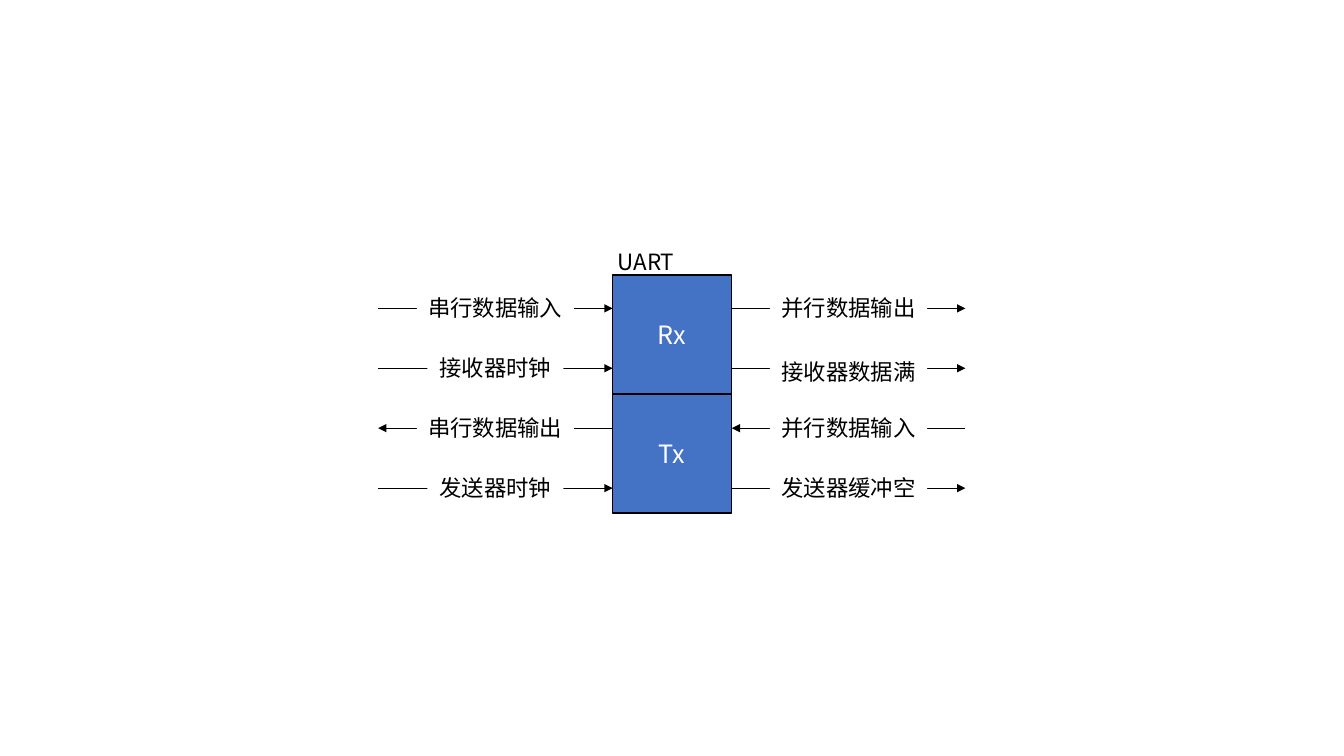
from lxml.etree import SubElement
from pptx import Presentation
from pptx.dml.color import RGBColor
from pptx.enum.shapes import MSO_CONNECTOR as Connector, MSO_SHAPE as Shape
from pptx.enum.text import MSO_ANCHOR as Anchor, MSO_AUTO_SIZE as AutoSize, PP_ALIGN as Align
from pptx.oxml.ns import qn
from pptx.util import Cm, Pt

COLORS = {"block": "4472C4", "ink": "000000", "paper": "FFFFFF"}
FONT = "Noto Sans CJK SC"

BLOCK_LEFT, BLOCK_TOP, BLOCK_SIZE = 15.44, 6.93, 3
BLOCK_RIGHT = BLOCK_LEFT + BLOCK_SIZE
LEFT_END, RIGHT_END = 9.53, 24.33
FIRST_ROW, ROW_STEP = 7.77, 1.51
LABEL_HEIGHT, LABEL_RISE = 0.94, 0.48

# Each signal: label, whether its arrow points right, extra drop of the label
INPUT_SIDE = [("串行数据输入", True, 0), ("接收器时钟", True, 0),
              ("串行数据输出", False, 0), ("发送器时钟", True, 0)]
OUTPUT_SIDE = [("并行数据输出", True, 0), ("接收器数据满", True, 0.1),
               ("并行数据输入", False, 0), ("发送器缓冲空", True, 0)]


def rgb(name):
    """Return the named palette colour."""
    return RGBColor.from_string(COLORS[name])


def write(frame, text, size=16, color="ink", align=Align.CENTER, anchor=Anchor.TOP, grow=True):
    """Put formatted text into a text frame."""
    frame.word_wrap = True
    frame.auto_size = AutoSize.SHAPE_TO_FIT_TEXT if grow else AutoSize.NONE
    frame.vertical_anchor = anchor
    paragraph = frame.paragraphs[0]
    paragraph.alignment = align
    run = paragraph.add_run()
    run.text = text
    run.font.size = Pt(size)
    run.font.name = FONT
    run.font.color.rgb = rgb(color)
    SubElement(run.font._element, qn("a:ea"), typeface=FONT)


class Diagram:
    """Draws the elements of the diagram as one group on a slide."""

    def __init__(self, slide):
        """Open the group that holds every element."""
        self.group = slide.shapes.add_group_shape().shapes

    def rectangle(self, left, top, width, height, fill):
        """Add a plain filled rectangle."""
        box = self.group.add_shape(Shape.RECTANGLE, Cm(left), Cm(top), Cm(width), Cm(height))
        box.shadow.inherit = False
        box.fill.solid()
        box.fill.fore_color.rgb = rgb(fill)
        box.line.fill.background()
        return box

    def block(self, name, top):
        """Add one outlined half of the UART."""
        half = self.rectangle(BLOCK_LEFT, top, BLOCK_SIZE, BLOCK_SIZE, "block")
        half.line.color.rgb = rgb("ink")
        half.line.width = Pt(1)
        write(half.text_frame, name, size=18, color="paper", anchor=Anchor.MIDDLE, grow=False)

    def arrow(self, start, end, y):
        """Add a horizontal arrow."""
        wire = self.group.add_connector(Connector.STRAIGHT, Cm(start), Cm(y), Cm(end), Cm(y))
        wire.line.color.rgb = rgb("ink")
        wire.line.width = Pt(0.5)
        properties = wire._element.spPr
        SubElement(properties.find(qn("a:ln")), qn("a:tailEnd"), type="triangle")
        SubElement(properties, qn("a:effectLst"))

    def label(self, text, center, top):
        """Add a signal name that masks the middle of its arrow."""
        width = 0.53 * len(text) + 0.78
        mask = self.rectangle(center - width / 2, top, width, LABEL_HEIGHT, "paper")
        write(mask.text_frame, text)

    def caption(self, text, left, top, width):
        """Add a transparent caption."""
        box = self.group.add_textbox(Cm(left), Cm(top), Cm(width), Cm(LABEL_HEIGHT))
        write(box.text_frame, text, align=Align.LEFT)

    def signals(self, side, left, right):
        """Add the labelled arrows of one side."""
        for row, (text, rightward, drop) in enumerate(side):
            y = FIRST_ROW + row * ROW_STEP
            start, end = (left, right) if rightward else (right, left)
            self.arrow(start, end, y)
            self.label(text, (left + right) / 2, y - LABEL_RISE + drop)


def main():
    """Build the UART slide and save it."""
    deck = Presentation()
    deck.slide_width, deck.slide_height = Cm(33.87), Cm(19.05)
    diagram = Diagram(deck.slides.add_slide(deck.slide_layouts[6]))
    for index, name in enumerate(["Rx", "Tx"]):
        diagram.block(name, BLOCK_TOP + index * BLOCK_SIZE)
    diagram.caption("UART", 15.32, 6.12, BLOCK_SIZE)
    diagram.signals(INPUT_SIDE, LEFT_END, BLOCK_LEFT)
    diagram.signals(OUTPUT_SIDE, BLOCK_RIGHT, RIGHT_END)
    deck.save("out.pptx")


if __name__ == "__main__":
    main()
